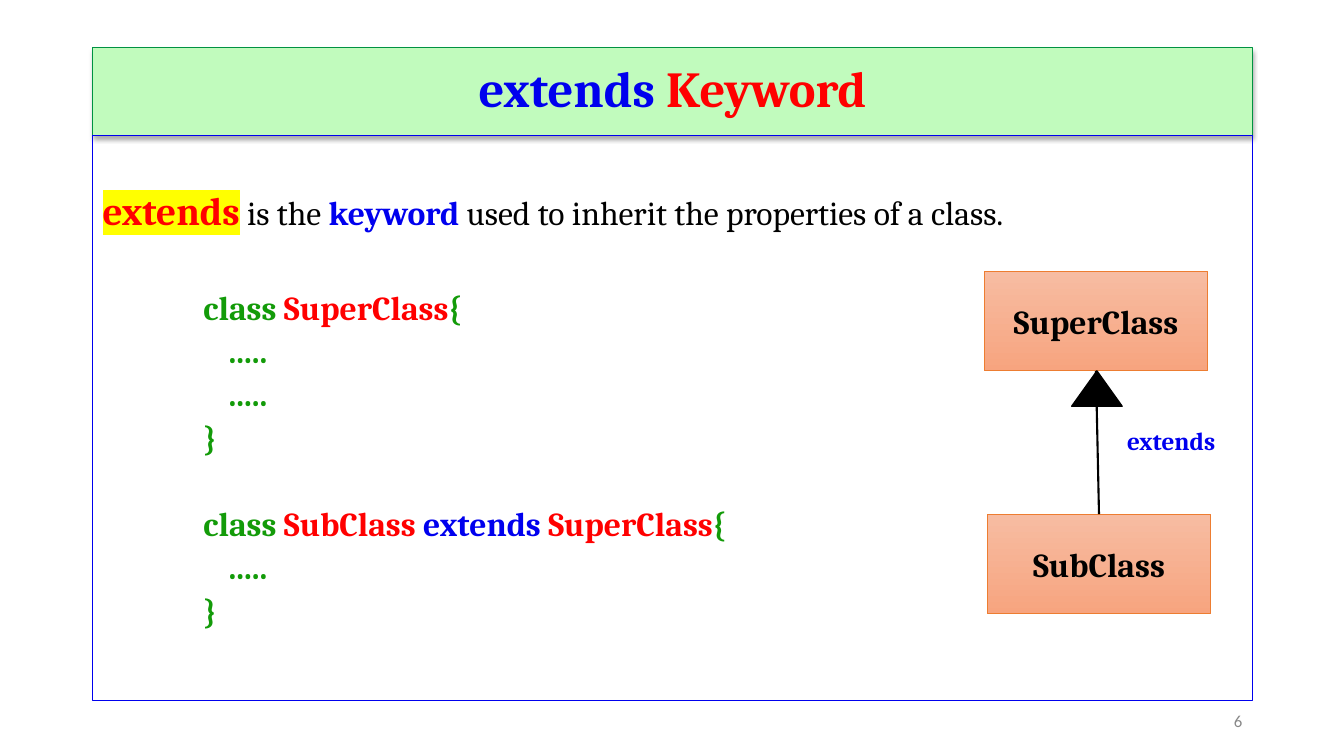
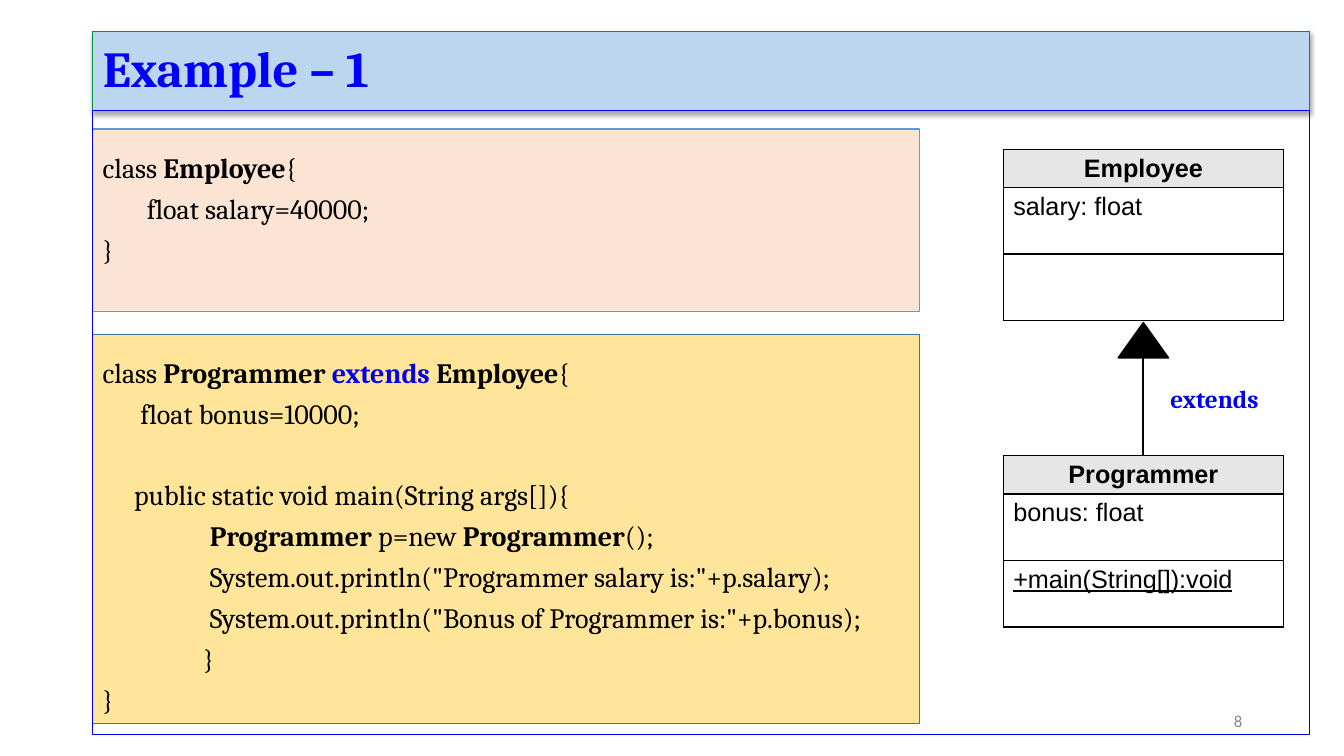
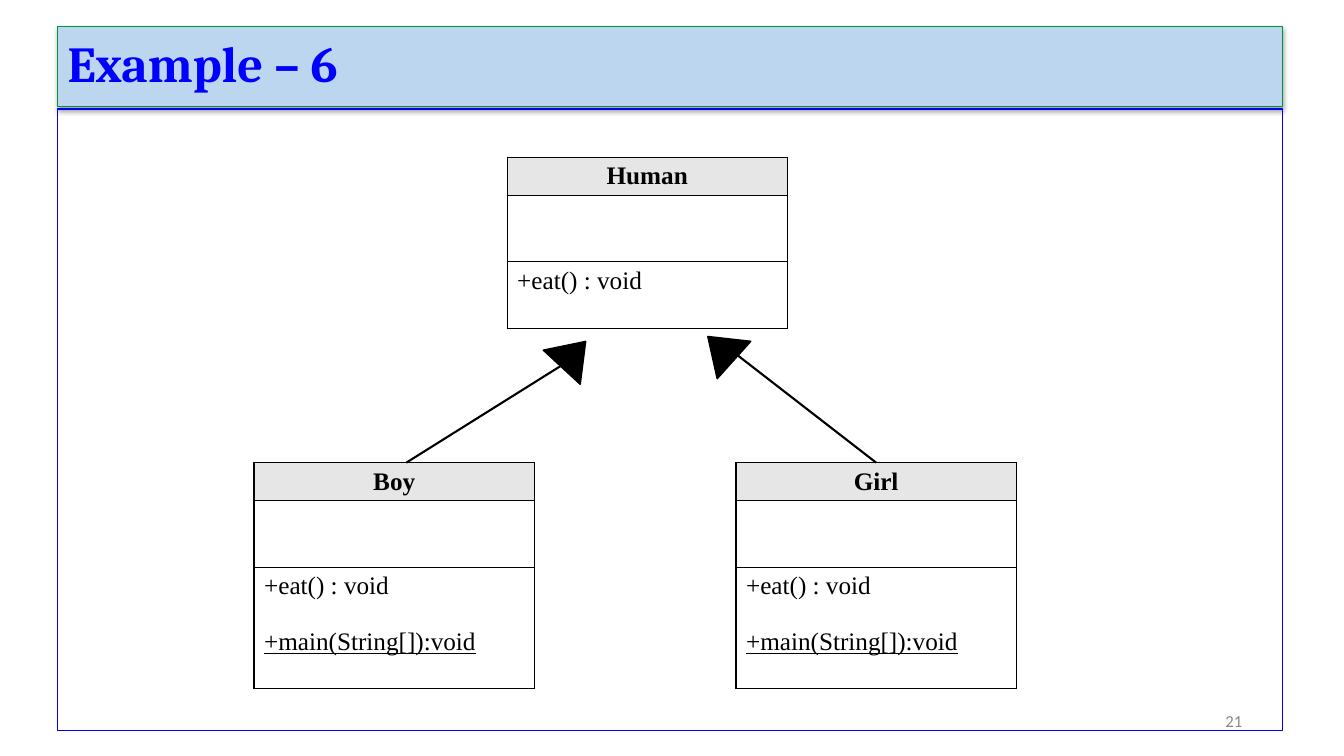
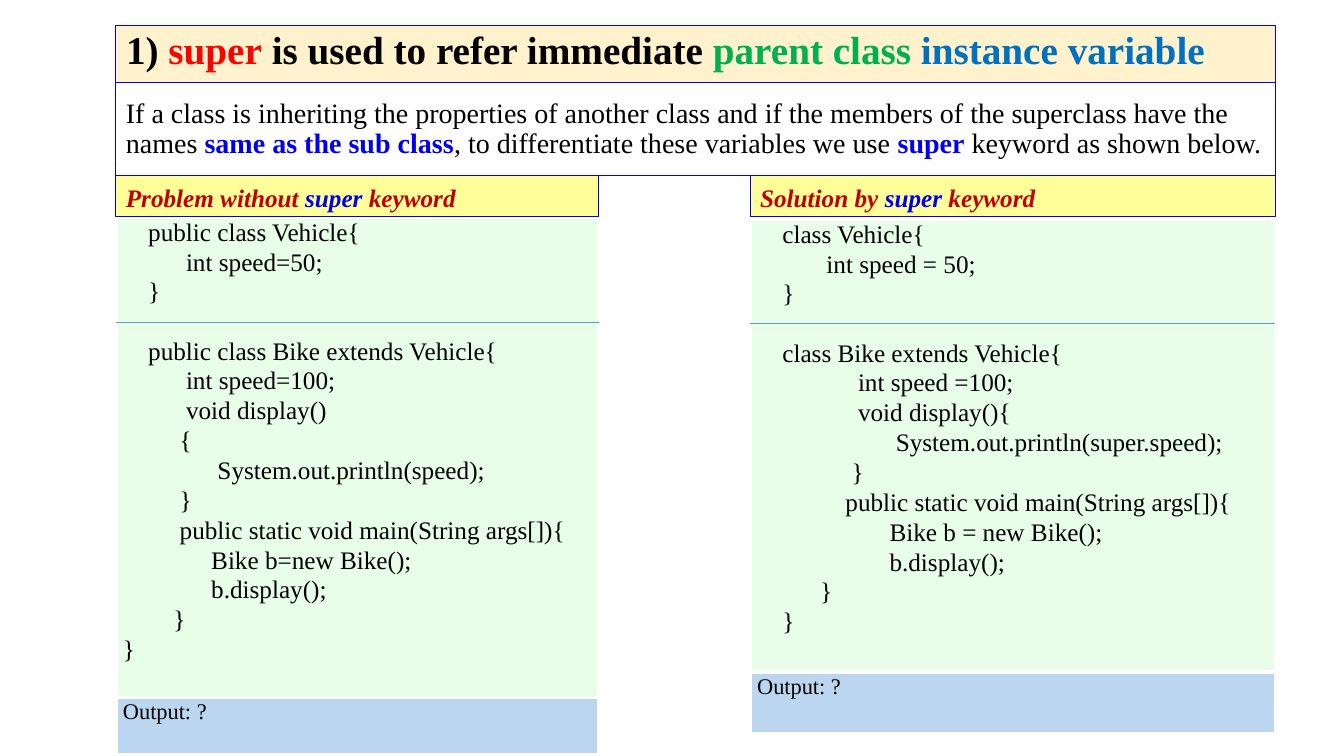
"""Builds four slides on class inheritance: keyword, two class diagrams and the use of super."""
import dataclasses

import lxml.etree
import pptx
import pptx.dml.color
import pptx.enum.shapes
import pptx.enum.text
import pptx.oxml.ns
import pptx.util

Inches = pptx.util.Inches
Pt = pptx.util.Pt
Shape = pptx.enum.shapes.MSO_SHAPE
Anchor = pptx.enum.text.MSO_ANCHOR
Align = pptx.enum.text.PP_ALIGN
qn = pptx.oxml.ns.qn


@dataclasses.dataclass(frozen=True)
class Theme:
    black: str = "000000"
    white: str = "FFFFFF"
    blue: str = "0000EE"
    title_blue: str = "0000FF"
    red: str = "FF0000"
    dark_red: str = "C00000"
    green: str = "139B09"
    leaf: str = "00B050"
    ocean: str = "0070C0"
    grey: str = "888888"
    highlight: str = "FFFF00"
    band_edge: str = "009242"
    green_band: str = "C1FBBD"
    blue_band: str = "BBD6EE"
    cream: str = "FFF2CC"
    lemon: str = "FFFF99"
    mint: str = "E8FEE8"
    header: str = "E7E6E6"
    peach: str = "FBE4D4"
    sand: str = "FEE599"
    sand_edge: str = "42719B"
    sky_edge: str = "5B9BD5"
    orange_edge: str = "ED7D31"
    orange_top: str = "F7BCA2"
    orange_bottom: str = "F7A47F"
    serif: str = "Cambria"
    roman: str = "Times New Roman"
    sans: str = "Arial"
    footer: str = "Calibri"
    title_size: int = 36
    heading_size: int = 28
    text_size: int = 24
    code_size: int = 20
    label_size: int = 18
    output_size: int = 16
    footer_size: int = 12
    column: float = 1 / 16


@dataclasses.dataclass
class Line:
    spans: list
    columns: int = 0
    before: float = 0


THEME = Theme()
BOLD = {"bold": True}
PLAIN_CODE = {"name": THEME.serif, "size": THEME.code_size}
ROMAN = {"name": THEME.roman, "size": THEME.label_size}


def tint(color):
    return {"color": color, "bold": True}


def rgb(color):
    return pptx.dml.color.RGBColor.from_string(color)


def child(parent, tag, **attributes):
    return lxml.etree.SubElement(parent, qn(tag), attributes)


def solid(parent, color):
    fill = child(parent, "a:solidFill")
    return child(fill, "a:srgbClr", val=color)


def code(rows, pitch):
    return [Line([text] if isinstance(text, str) else text, columns, pitch + sum(extra))
            for columns, text, *extra in rows]


class SlideBuilder:
    def __init__(self, theme):
        self.theme = theme
        self.deck = pptx.Presentation()
        self.deck.slide_width, self.deck.slide_height = Inches(13.33), Inches(7.5)
        self.page = None

    def new_page(self, number):
        self.page = self.deck.slides.add_slide(self.deck.slide_layouts[5])
        style = {"name": self.theme.footer, "size": self.theme.footer_size,
                 "color": self.theme.grey}
        self.label((9.42, 6.95, 3, 0.4), [Line([str(number)])], style,
                   align=Align.RIGHT, anchor=Anchor.MIDDLE)

    def put_text(self, frame, lines, style, align=Align.LEFT, spacing=1.0):
        for index, line in enumerate(lines):
            para = frame.paragraphs[0] if index == 0 else frame.add_paragraph()
            values = {"alignment": align, "line_spacing": spacing,
                      "space_before": Pt(line.before if index else 0), "space_after": Pt(0)}
            for name, value in values.items():
                setattr(para, name, value)
            if line.columns:
                margin = Inches(line.columns * self.theme.column)
                para._p.get_or_add_pPr().set("marL", str(margin))
            for part in line.spans:
                text, changes = (part, {}) if isinstance(part, str) else part
                span = para.add_run()
                span.text = text
                self.format_span(span, {"color": self.theme.black, "bold": False,
                                        **style, **changes})

    def format_span(self, span, style):
        values = dict(style)
        span.font.color.rgb = rgb(values.pop("color"))
        highlight = values.pop("highlight", None)
        values["size"] = Pt(values["size"])
        for name, value in values.items():
            setattr(span.font, name, value)
        if highlight:
            mark = lxml.etree.Element(qn("a:highlight"))
            child(mark, "a:srgbClr", val=highlight)
            span._r.rPr.find(qn("a:solidFill")).addnext(mark)

    def set_frame(self, box, anchor, top=0.05):
        values = {"margin_left": Inches(0.1), "margin_right": Inches(0.1),
                  "margin_top": Inches(top), "margin_bottom": Inches(0.05),
                  "word_wrap": True, "vertical_anchor": anchor,
                  "auto_size": pptx.enum.text.MSO_AUTO_SIZE.NONE}
        for name, value in values.items():
            setattr(box.text_frame, name, value)

    def paint(self, box, fill, edge, width):
        if fill is None:
            box.fill.background()
        else:
            box.fill.solid()
            box.fill.fore_color.rgb = rgb(fill)
        box.line.color.rgb = rgb(edge)
        box.line.width = Pt(width)
        box.shadow.inherit = False

    def title(self, place, spans, style, fill, edge, align=Align.LEFT,
              anchor=Anchor.MIDDLE, shadow=True):
        box = self.page.shapes.title
        for name, value in zip(("left", "top", "width", "height"), place):
            setattr(box, name, Inches(value))
        self.paint(box, fill, edge, 0.75)
        self.set_frame(box, anchor)
        self.put_text(box.text_frame, [Line(spans)], style, align, 0.9)
        if shadow:
            effects = box._element.spPr.find(qn("a:effectLst"))
            outer = child(effects, "a:outerShdw", blurRad=str(Pt(3.5)), dist=str(Pt(2.2)),
                          dir="5400000", algn="t", rotWithShape="0")
            child(child(outer, "a:srgbClr", val=self.theme.black), "a:alpha", val="32000")

    def band(self, place, spans, fill, align=Align.LEFT):
        style = {"name": self.theme.serif, "size": self.theme.title_size,
                 **tint(self.theme.title_blue)}
        self.title(place, spans, style, fill, self.theme.band_edge, align)

    def label(self, place, lines, style, align=Align.LEFT, anchor=Anchor.TOP):
        box = self.page.shapes.add_textbox(*map(Inches, place))
        self.set_frame(box, anchor)
        self.put_text(box.text_frame, lines, style, align)

    def panel(self, place, fill=None, edge=None, width=0.75, lines=(), style=None,
              align=Align.LEFT, anchor=Anchor.TOP, spacing=1.0, top=0.05):
        box = self.page.shapes.add_shape(Shape.RECTANGLE, *map(Inches, place))
        self.paint(box, fill, edge or self.theme.blue, width)
        self.set_frame(box, anchor, top)
        self.put_text(box.text_frame, lines, style or {}, align, spacing)
        return box

    def class_box(self, left, top, name):
        style = {"name": self.theme.serif, "size": self.theme.text_size, **BOLD}
        box = self.panel((left, top, 2.22, 0.99), self.theme.orange_top,
                         self.theme.orange_edge, lines=[Line([name])], style=style,
                         align=Align.CENTER, anchor=Anchor.MIDDLE)
        box.fill.gradient()
        box.fill.gradient_angle = 270
        colors = (self.theme.orange_top, self.theme.orange_bottom)
        for stop, color in zip(box.fill.gradient_stops, colors):
            stop.color.rgb = rgb(color)
        return box

    def line(self, start, end, color=None, width=1.5):
        connector = self.page.shapes.add_connector(
            pptx.enum.shapes.MSO_CONNECTOR.STRAIGHT, *map(Inches, start + end))
        connector.line.color.rgb = rgb(color or self.theme.black)
        connector.line.width = Pt(width)
        child(connector._element.spPr, "a:effectLst")
        return connector

    def arrow_tip(self, left, top, rotation=0):
        tip = self.page.shapes.add_shape(Shape.ISOSCELES_TRIANGLE,
                                         *map(Inches, (left, top, 0.5, 0.35)))
        self.paint(tip, self.theme.black, self.theme.black, 1)
        tip.rotation = rotation

    def extends_label(self, left, top):
        style = {"name": self.theme.serif, "size": self.theme.label_size,
                 **tint(self.theme.blue)}
        self.label((left, top, 1.2, 0.4), [Line(["extends"])], style)

    def table(self, left, top, width, heights):
        holder = self.page.shapes.add_table(len(heights), 1, *map(
            Inches, (left, top, width, sum(heights))))
        grid = holder.table
        grid.first_row = grid.horz_banding = False
        for row, height in zip(grid.rows, heights):
            row.height = Inches(height)
        return grid

    def fill_cell(self, cell, lines, style, fill=None, edge=None, width=1,
                  margins=(0.1, 0.05), align=Align.LEFT, spacing=1.0):
        side, end = map(Inches, margins)
        values = {"margin_left": side, "margin_right": side, "margin_top": end,
                  "margin_bottom": end, "vertical_anchor": Anchor.TOP}
        for name, value in values.items():
            setattr(cell, name, value)
        properties = cell._tc.get_or_add_tcPr()
        for tag in ("a:lnL", "a:lnR", "a:lnT", "a:lnB"):
            solid(child(properties, tag, w=str(Pt(width))), edge or self.theme.black)
        if fill is None:
            cell.fill.background()
        else:
            cell.fill.solid()
            cell.fill.fore_color.rgb = rgb(fill)
        self.put_text(cell.text_frame, lines, style, align, spacing)

    def uml_class(self, left, top, name, fields, methods, font):
        style = {"name": font, "size": self.theme.label_size}
        grid = self.table(left, top, 2.78, (0.35, 0.66, 1.2 if len(methods) > 1 else 0.66))
        self.fill_cell(grid.cell(0, 0), [Line([name])], {**style, **BOLD},
                       self.theme.header, align=Align.CENTER)
        for row, members in enumerate((fields, methods), 1):
            lines = [Line([(text, {"underline": "main" in text})], before=20)
                     for text in members]
            self.fill_cell(grid.cell(row, 0), lines, style)

    def code_table(self, left, top, width, heights, heading, rows, divider):
        grid = self.table(left, top, width, heights)
        output = {**ROMAN, "size": self.theme.output_size}
        contents = ((code(rows, 0), ROMAN, self.theme.mint),
                    ([Line(["Output: ?"])], output, self.theme.blue_band))
        for row, (lines, style, fill) in enumerate(contents):
            self.fill_cell(grid.cell(row, 0), lines, style, fill, self.theme.white, 3,
                           (0.07, 0), spacing=1.07)
        spans = [heading, ("super", {"color": self.theme.blue}), " keyword"]
        self.panel((left, 1.74, width, 0.41), self.theme.lemon, lines=[Line(spans)],
                   style={**ROMAN, **tint(self.theme.dark_red), "italic": True},
                   spacing=1.07)
        self.line((left, divider), (left + width, divider), self.theme.sky_edge, 0.75)


def keyword_slide(show):
    theme = show.theme
    red, blue, green = tint(theme.red), tint(theme.blue), tint(theme.green)
    show.new_page(6)
    show.band((0.92, 0.47, 11.5, 0.87),
              [("extends", blue), (" Keyword", red)], theme.green_band, Align.CENTER)
    intro = Line([("extends", {**red, "size": theme.heading_size,
                               "highlight": theme.highlight}),
                  " is the ", ("keyword", blue),
                  " used to inherit the properties of a class."])
    rows = [(16, [("class ", green), ("SuperClass", red), ("{", green)], 36),
            (20, [(".....", green)]),
            (20, [(".....", green)]),
            (16, [("}", green)]),
            (16, [("class ", green), ("SubClass ", red), ("extends ", blue),
                  ("SuperClass", red), ("{", green)], 31),
            (20, [(".....", green)]),
            (16, [("}", green)])]
    show.panel((0.92, 1.34, 11.5, 5.61), lines=[intro, *code(rows, 5)],
               style={"name": theme.serif, "size": theme.text_size}, spacing=0.9, top=0.56)
    parent = show.class_box(9.76, 2.69, "SuperClass")
    derived = show.class_box(9.79, 5.1, "SubClass")
    link = show.line((10.9, 5.1), (10.87, 3.68))
    link.begin_connect(derived, 0)
    link.end_connect(parent, 2)
    show.arrow_tip(10.63, 3.68)
    show.extends_label(11.08, 4.17)


def employee_slide(show):
    theme = show.theme
    show.new_page(8)
    show.band((0.92, 0.31, 12.07, 0.79), ["Example – 1"], theme.blue_band)
    employee = [(0, ["class ", ("Employee", BOLD), "{"]),
                (7, "float salary=40000;"),
                (0, "}")]
    programmer = [(0, ["class ", ("Programmer ", BOLD), ("extends ", tint(theme.blue)),
                       ("Employee", BOLD), "{"]),
                  (6, "float bonus=10000;"),
                  (5, "public static void main(String args[]){", 29),
                  (17, [("Programmer", BOLD), " p=new ", ("Programmer", BOLD), "();"]),
                  (17, 'System.out.println("Programmer salary is:"+p.salary);'),
                  (17, 'System.out.println("Bonus of Programmer is:"+p.bonus);'),
                  (16, "}"),
                  (0, "}")]
    for top, height, fill, edge, rows, inset in (
            (3.32, 3.86, theme.sand, theme.sand_edge, programmer, 0.27),
            (1.28, 1.81, theme.peach, theme.sky_edge, employee, 0.28)):
        show.panel((0.92, top, 8.2, height), fill, edge, lines=code(rows, 10),
                   style=PLAIN_CODE, spacing=0.8, top=inset)
    show.panel((0.92, 1.1, 12.07, 6.19))
    show.uml_class(9.95, 1.48, "Employee", ["salary: float"], [], theme.sans)
    show.uml_class(9.95, 4.52, "Programmer", ["bonus: float"],
                   ["+main(String[]):void"], theme.sans)
    show.extends_label(11.51, 3.75)
    show.arrow_tip(11.09, 3.2)
    show.line((11.34, 3.54), (11.34, 4.52))


def human_slide(show):
    theme = show.theme
    show.new_page(21)
    show.band((0.57, 0.26, 12.15, 0.8), ["Example – 6"], theme.blue_band)
    show.panel((0.57, 1.08, 12.15, 6.17), width=1)
    eat = "+eat() : void"
    show.uml_class(5.03, 1.56, "Human", [], [eat], theme.roman)
    for left, name in ((2.52, "Boy"), (7.3, "Girl")):
        show.uml_class(left, 4.59, name, [], [eat, "+main(String[]):void"], theme.roman)
    show.line((5.69, 3.55), (4.03, 4.59))
    show.arrow_tip(5.44, 3.34, 42.8)
    show.line((7.18, 3.42), (8.69, 4.59))
    show.arrow_tip(6.9, 3.28, 311.9)


def super_slide(show):
    theme = show.theme
    blue = tint(theme.blue)
    show.new_page(23)
    show.title((1.15, 0.25, 11.5, 0.57),
               ["1) ", ("super", tint(theme.red)), " is used to refer immediate ",
                ("parent class ", tint(theme.leaf)),
                ("instance variable", tint(theme.ocean))],
               {"name": theme.roman, "size": theme.heading_size, **BOLD},
               theme.cream, theme.blue, anchor=Anchor.TOP, shadow=False)
    summary = Line(["If a class is inheriting the properties of another class and if the "
                    "members of the superclass have the names ",
                    ("same as the sub class", blue),
                    ", to differentiate these variables we use ", ("super", blue),
                    " keyword as shown below."])
    show.panel((1.15, 0.82, 11.5, 0.92), lines=[summary],
               style={"name": theme.roman, "size": theme.code_size},
               anchor=Anchor.MIDDLE, spacing=0.9)
    problem = [(4, "public class Vehicle{"),
               (10, "int speed=50;"),
               (4, "}"),
               (4, "public class Bike extends Vehicle{", 21),
               (10, "int speed=100;"),
               (10, "void display()"),
               (9, "{"),
               (15, "System.out.println(speed);"),
               (9, "}"),
               (9, "public static void main(String args[]){"),
               (14, "Bike b=new Bike();"),
               (14, "b.display();"),
               (8, "}"),
               (0, "}")]
    solution = [(4, "class Vehicle{"),
                (11, "int speed = 50;"),
                (4, "}"),
                (4, "class Bike extends Vehicle{", 21),
                (16, "int speed =100;"),
                (16, "void display(){"),
                (22, "System.out.println(super.speed);"),
                (15, "}"),
                (14, "public static void main(String args[]){"),
                (21, "Bike b = new Bike();"),
                (21, "b.display();"),
                (10, "}"),
                (4, "}")]
    show.code_table(1.15, 2.15, 4.79, (4.77, 0.57), "Problem without ", problem, 3.2)
    show.code_table(7.44, 2.17, 5.21, (4.5, 0.61), "Solution by ", solution, 3.21)


def main():
    show = SlideBuilder(THEME)
    for build in (keyword_slide, employee_slide, human_slide, super_slide):
        build(show)
    show.deck.save("out.pptx")


if __name__ == "__main__":
    main()
